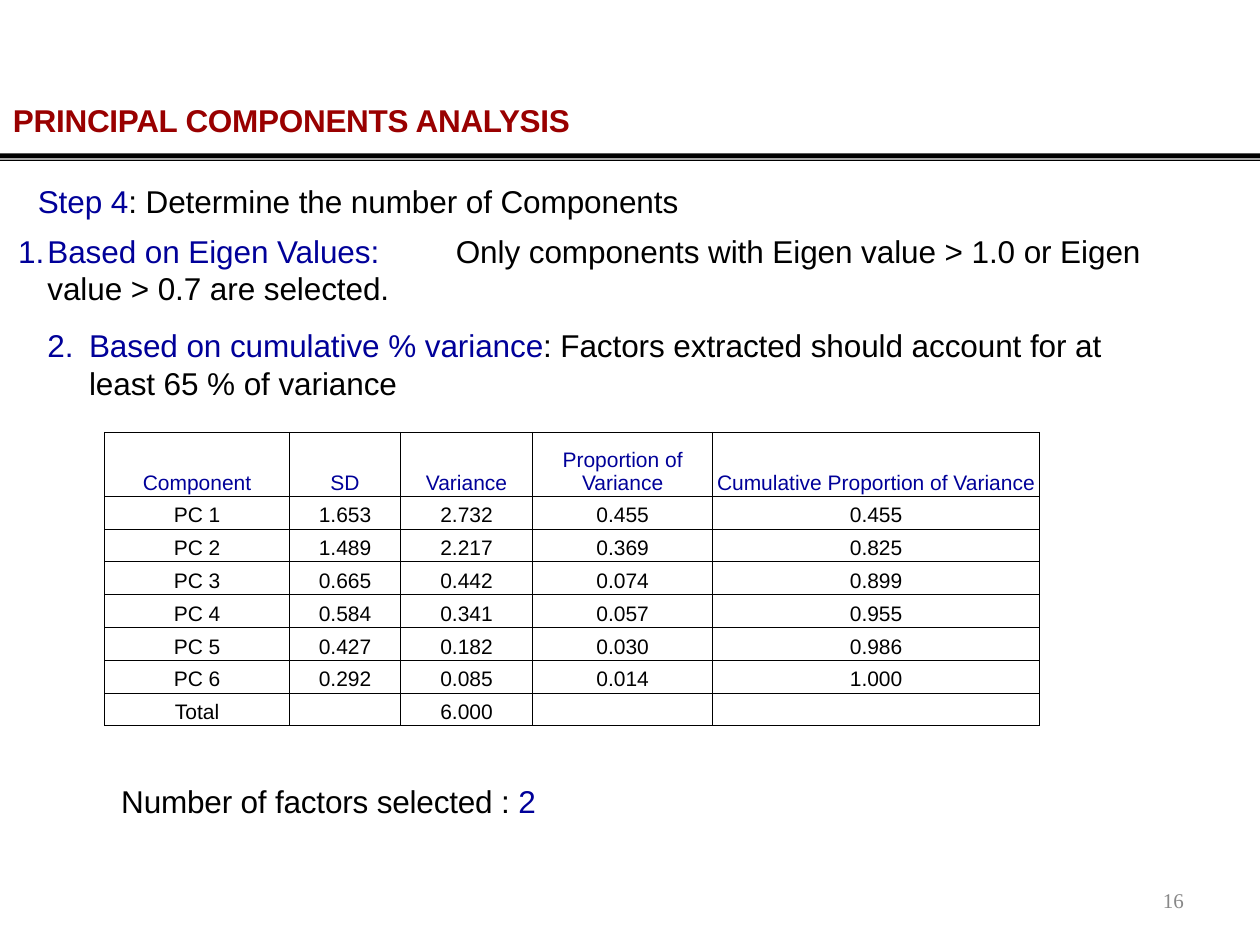
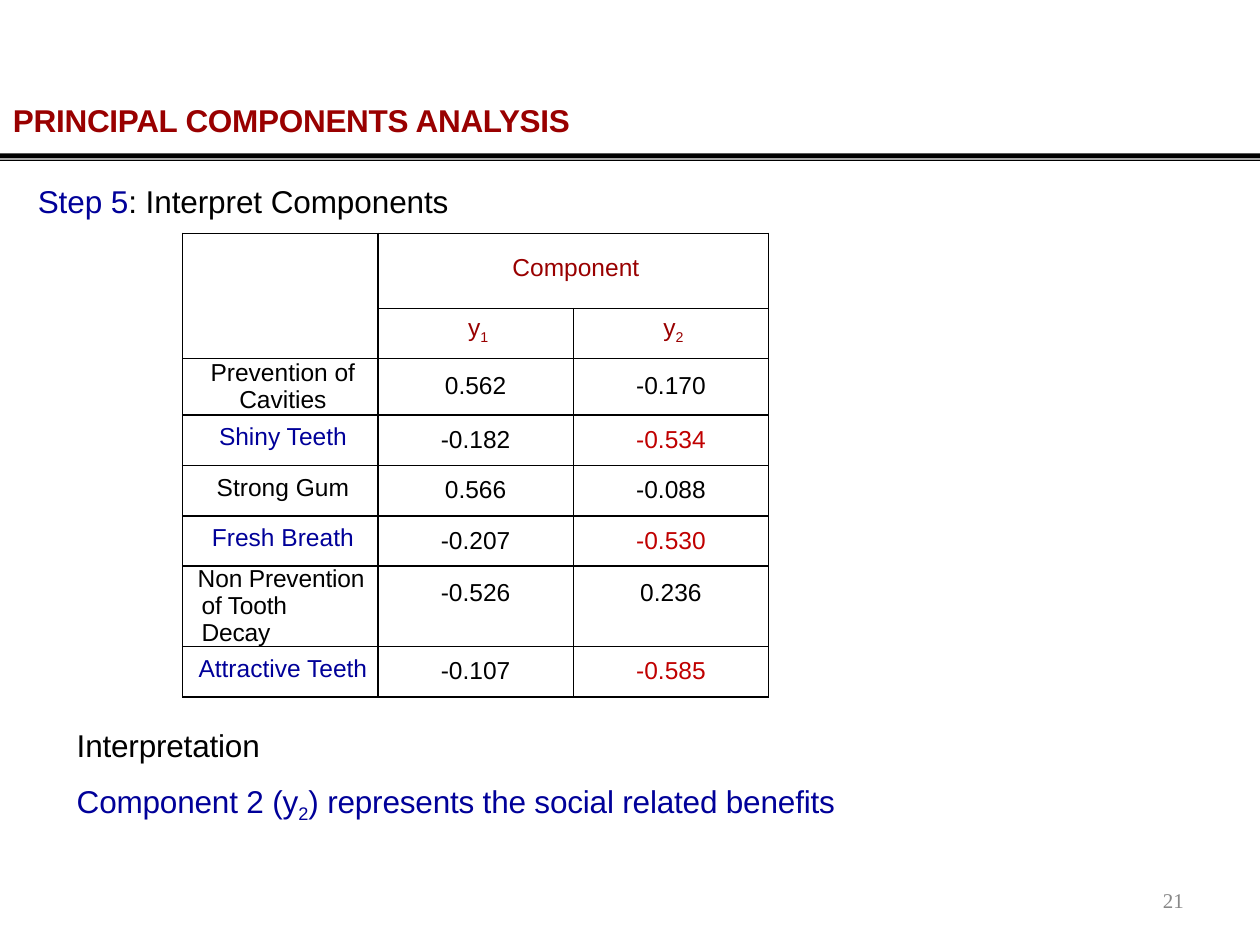
from dataclasses import dataclass
from lxml.etree import SubElement
from pptx import Presentation
from pptx.dml.color import RGBColor
from pptx.enum.text import MSO_ANCHOR, MSO_AUTO_SIZE, PP_ALIGN
from pptx.oxml.ns import qn
from pptx.util import Pt

LEFT, CENTER = PP_ALIGN.LEFT, PP_ALIGN.CENTER
TOP, MIDDLE, BOTTOM = MSO_ANCHOR.TOP, MSO_ANCHOR.MIDDLE, MSO_ANCHOR.BOTTOM
NO_FIT = MSO_AUTO_SIZE.NONE

BLACK, NAVY, MAROON, RED, GRAY = "000000", "000099", "990000", "C00000", "888888"
WIDE, HIGH = 720, 540
TITLE = "PRINCIPAL COMPONENTS ANALYSIS"


@dataclass(frozen=True)
class Run:
    text: str
    ink: str = ""  # empty: the paragraph's colour
    base: int = 0  # baseline shift in percent


@dataclass(frozen=True)
class Para:
    runs: tuple[Run, ...]
    ink: str = BLACK
    size: float = 18
    face: str = "Arial"
    bold: bool = False
    align: PP_ALIGN = LEFT
    left: float = 0
    hang: float = 0
    before: float = 0
    line: float = 0
    track: float = 0
    num: int = 0
    tab: float = 0


@dataclass(frozen=True)
class Box:
    left: float
    top: float
    width: float
    height: float


@dataclass(frozen=True)
class Cell:
    para: Para
    anchor: MSO_ANCHOR = MIDDLE
    inset: float = 0
    lift: float = 0


@dataclass(frozen=True)
class Trait:
    """One row of the loadings table."""
    name: str
    first: str
    second: str
    high: float = 28.8
    social: bool = False


def rgb(ink: str) -> RGBColor:
    return RGBColor.from_string(ink)


def write(item, para: Para) -> None:
    """Fill one paragraph of a text frame."""
    props = item._p.get_or_add_pPr()
    props.set("marL", str(Pt(para.left)))
    props.set("indent", str(Pt(-para.hang)))
    if para.num:
        tint = SubElement(props, qn("a:buClr"))
        SubElement(tint, qn("a:srgbClr"), val=para.ink)
        SubElement(props, qn("a:buAutoNum"), type="arabicPeriod", startAt=str(para.num))
    else:
        SubElement(props, qn("a:buNone"))
    if para.tab:
        tabs = SubElement(props, qn("a:tabLst"))
        SubElement(tabs, qn("a:tab"), pos=str(Pt(para.tab)), algn="l")
    item.alignment = para.align
    item.space_before = Pt(para.before)
    if para.line:
        item.line_spacing = Pt(para.line)
    font = item.font
    font.name, font.size, font.bold = para.face, Pt(para.size), para.bold
    font.color.rgb = rgb(para.ink)
    for part in para.runs:
        if part.text == "\n":
            item.add_line_break()
            continue
        run = item.add_run()
        run.text = part.text
        if part.ink:
            run.font.color.rgb = rgb(part.ink)
        look = run._r.get_or_add_rPr()
        if para.track:
            look.set("spc", str(round(para.track * 100)))
        if part.base:
            look.set("baseline", str(part.base * 1000))


def fill_box(shape, box: Box, paras: list[Para]) -> None:
    """Place a text shape and write its paragraphs."""
    shape.left, shape.top = Pt(box.left), Pt(box.top)
    shape.width, shape.height = Pt(box.width), Pt(box.height)
    frame = shape.text_frame
    frame.word_wrap, frame.auto_size = True, NO_FIT
    frame.vertical_anchor = TOP
    frame.margin_left = frame.margin_right = 0
    frame.margin_top = frame.margin_bottom = 0
    for index, para in enumerate(paras):
        write(frame.add_paragraph() if index else frame.paragraphs[0], para)


def add_text(slide, box: Box, paras: list[Para]) -> None:
    fill_box(slide.shapes.add_textbox(0, 0, 0, 0), box, paras)


def add_rule(slide) -> None:
    """Draw the thick and thin line under the title."""
    bands = ((87.7, 90.6), (91.2, 92))
    pen = slide.shapes.build_freeform(0, Pt(bands[0][0]))
    for index, (top, foot) in enumerate(bands):
        if index:
            pen.move_to(0, Pt(top))
        pen.add_line_segments([(Pt(WIDE), Pt(top)), (Pt(WIDE), Pt(foot)), (0, Pt(foot))])
    rule = pen.convert_to_shape()
    rule.shadow.inherit = False
    rule.fill.solid()
    rule.fill.fore_color.rgb = rgb(BLACK)
    rule.line.fill.background()


def add_page(deck, page: int, step: Para, steps: list[Para]):
    """Add a slide with title, rule, number and its step text."""
    slide = deck.slides.add_slide(deck.slide_layouts[1])
    add_rule(slide)
    head = Para((Run(TITLE),), MAROON, bold=True, left=0.9, track=-0.18)
    fill_box(slide.shapes.title, Box(6.5, 57.6, 660, 24), [head])
    body = Box(6.5, 103.9, 655, 24 + 54 * len(steps))
    fill_box(slide.placeholders[1], body, [step, *steps])
    foot = Para((Run(str(page)),), GRAY, 12, "Times New Roman", line=14.1)
    add_text(slide, Box(664.5, 507.6, 16, 16), [foot])
    return slide


def step_para(count: int, text: str) -> Para:
    return Para((Run(f"Step {count}", NAVY), Run(f": {text}")), left=15.1, track=-0.07)


def edge(cell, width: float) -> None:
    """Rule all four sides of a cell in black."""
    props = cell._tc.get_or_add_tcPr()
    for side in ("lnL", "lnR", "lnT", "lnB"):
        line = SubElement(props, qn(f"a:{side}"), w=str(Pt(width)))
        paint = SubElement(line, qn("a:solidFill"))
        SubElement(paint, qn("a:srgbClr"), val=BLACK)


def add_grid(slide, left: float, top: float, cols: list[float], rows: list[float],
             cells: list[list[Cell]], width: float):
    frame = slide.shapes.add_table(len(rows), len(cols), Pt(left), Pt(top),
                                   Pt(sum(cols)), Pt(sum(rows)))
    table = frame.table
    table.first_row = table.horz_banding = False
    for col, size in zip(table.columns, cols):
        col.width = Pt(size)
    for row, size in zip(table.rows, rows):
        row.height = Pt(size)
    for y, line in enumerate(cells):
        for x, data in enumerate(line):
            cell = table.cell(y, x)
            edge(cell, width)
            cell.fill.background()
            cell.margin_left, cell.margin_right = Pt(data.inset), 0
            cell.margin_top, cell.margin_bottom = 0, Pt(data.lift)
            cell.vertical_anchor = data.anchor
            write(cell.text_frame.paragraphs[0], data.para)
    return table


HEADS = ["Component", "SD", "Variance", "Proportion of Variance",
         "Cumulative Proportion of Variance"]
PARTS = [
    ["PC 1", "1.653", "2.732", "0.455", "0.455"],
    ["PC 2", "1.489", "2.217", "0.369", "0.825"],
    ["PC 3", "0.665", "0.442", "0.074", "0.899"],
    ["PC 4", "0.584", "0.341", "0.057", "0.955"],
    ["PC 5", "0.427", "0.182", "0.030", "0.986"],
    ["PC 6", "0.292", "0.085", "0.014", "1.000"],
    ["Total", "", "6.000", "", ""],
]
DECAY = "Non Prevention\nof Tooth\nDecay"
TRAITS = [
    Trait("Prevention of Cavities", "0.562", "-0.170", 32.2),
    Trait("Shiny Teeth", "-0.182", "-0.534", social=True),
    Trait("Strong Gum", "0.566", "-0.088"),
    Trait("Fresh Breath", "-0.207", "-0.530", social=True),
    Trait(DECAY, "-0.526", "0.236", 46),
    Trait("Attractive Teeth", "-0.107", "-0.585", social=True),
]


def part_cell(text: str, ink: str) -> Cell:
    runs = (Run(text),) if text else ()
    return Cell(Para(runs, ink, 12, align=CENTER, line=13.2), BOTTOM, lift=1)


def load_cell(runs: tuple[Run, ...], ink: str, inset: float = 0, lift: float = 0) -> Cell:
    return Cell(Para(runs, ink, 14, align=CENTER, line=15.2), MIDDLE, inset, lift)


def trait_row(trait: Trait) -> list[Cell]:
    if trait.name == DECAY:
        first, *rest = trait.name.split("\n")
        runs = [Run(first)]
        for text in rest:
            runs += [Run("\n"), Run(text)]
        name = Cell(Para(tuple(runs), size=14, left=10.8, hang=2.2, line=15.2, track=-0.1))
        lift = 15
    else:
        name = load_cell((Run(trait.name),), NAVY if trait.social else BLACK,
                         3, 3 if trait.high < 30 else 0)
        lift = 0
    return [name, load_cell((Run(trait.first),), BLACK, lift=lift),
            load_cell((Run(trait.second),), RED if trait.social else BLACK, lift=lift)]


def count_page(deck) -> None:
    eigen = Para((Run("Based on Eigen Values:"),
                  Run("\tOnly components with Eigen value > 1.0 or Eigen value > 0.7 "
                      "are selected.", BLACK)),
                 NAVY, left=20.6, hang=16.8, before=6.8, track=-0.07, num=1, tab=254)
    total = Para((Run("Based on cumulative % variance"),
                  Run(": Factors extracted should account for at least 65 % of variance",
                      BLACK)),
                 NAVY, left=44.4, hang=23.8, before=10.8, track=-0.07, num=2)
    slide = add_page(deck, 16, step_para(4, "Determine the number of Components"),
                     [eigen, total])
    cells = [[part_cell(text, NAVY) for text in HEADS]]
    cells += [[part_cell(text, BLACK) for text in row] for row in PARTS]
    add_grid(slide, 59.8, 247, [105.7, 63.4, 75.5, 102.9, 186.8],
             [36.6] + [18.75] * len(PARTS), cells, 0.5)
    note = Para((Run("Number of factors selected : "), Run("2", NAVY)), left=0.9, track=-0.1)
    add_text(slide, Box(68.4, 447.1, 260, 24), [note])


def load_page(deck) -> None:
    slide = add_page(deck, 21, step_para(5, "Interpret Components"), [])
    blank = load_cell((), BLACK)
    cells = [[blank, load_cell((Run("Component"),), MAROON, 3, 3), blank],
             [blank] + [load_cell((Run("y"), Run(sub, base=-22)), MAROON, 3, 2)
                        for sub in "12"]]
    cells += [trait_row(trait) for trait in TRAITS]
    rows = [43, 28.7] + [trait.high for trait in TRAITS]
    table = add_grid(slide, 104.4, 133.3, [111.6] * 3, rows, cells, 1)
    table.cell(0, 0).merge(table.cell(1, 0))
    table.cell(0, 1).merge(table.cell(0, 2))
    means = [Para((Run("Interpretation"),), left=2.9, track=-0.1),
             Para((Run("Component 2 (y"), Run("2", base=-21),
                   Run(") represents the social related benefits")),
                  NAVY, left=2.9, before=10.8, track=-0.1)]
    add_text(slide, Box(41, 414.7, 460, 56), means)


def main() -> None:
    deck = Presentation()
    deck.slide_width, deck.slide_height = Pt(WIDE), Pt(HIGH)
    count_page(deck)
    load_page(deck)
    deck.save("out.pptx")


if __name__ == "__main__":
    main()
